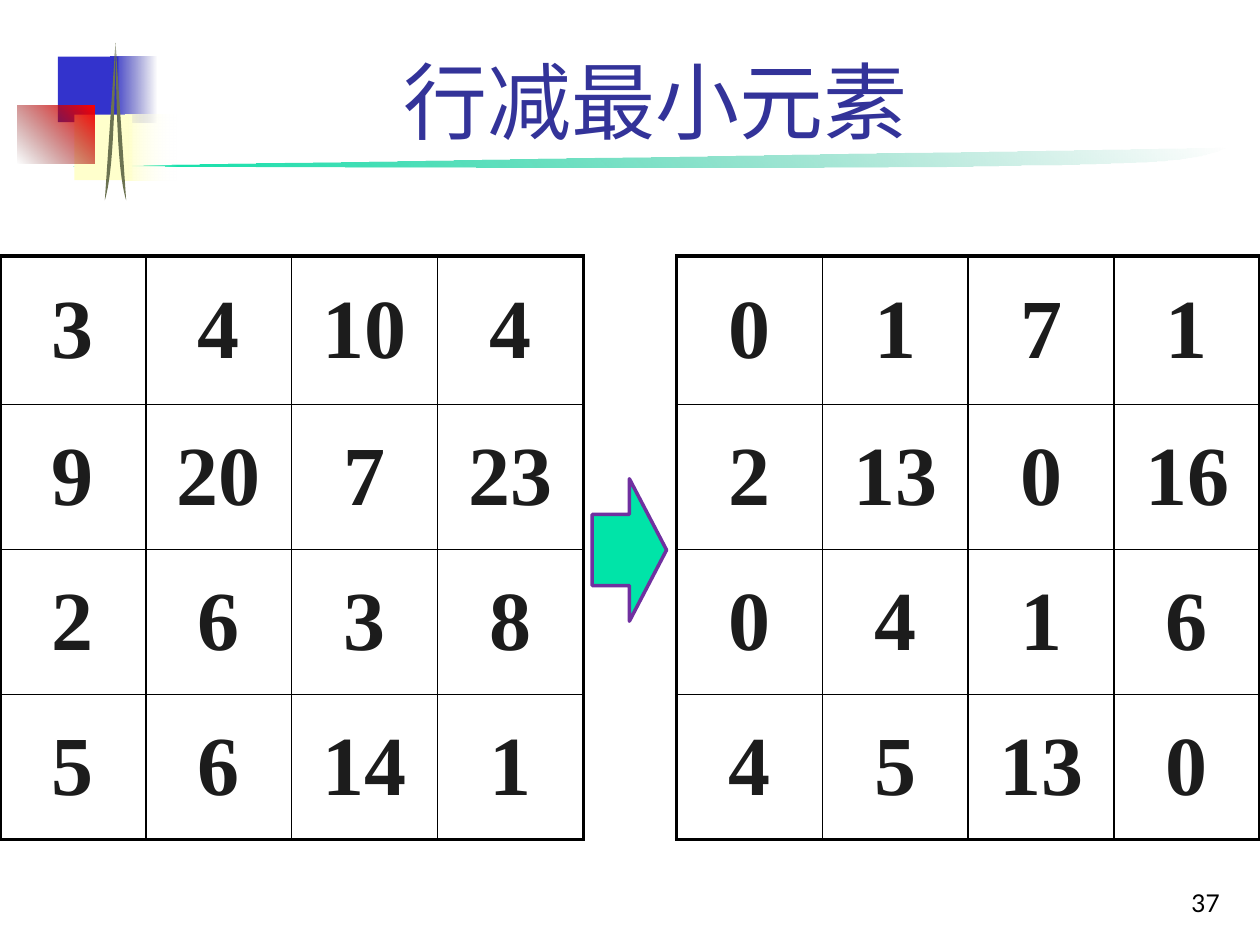
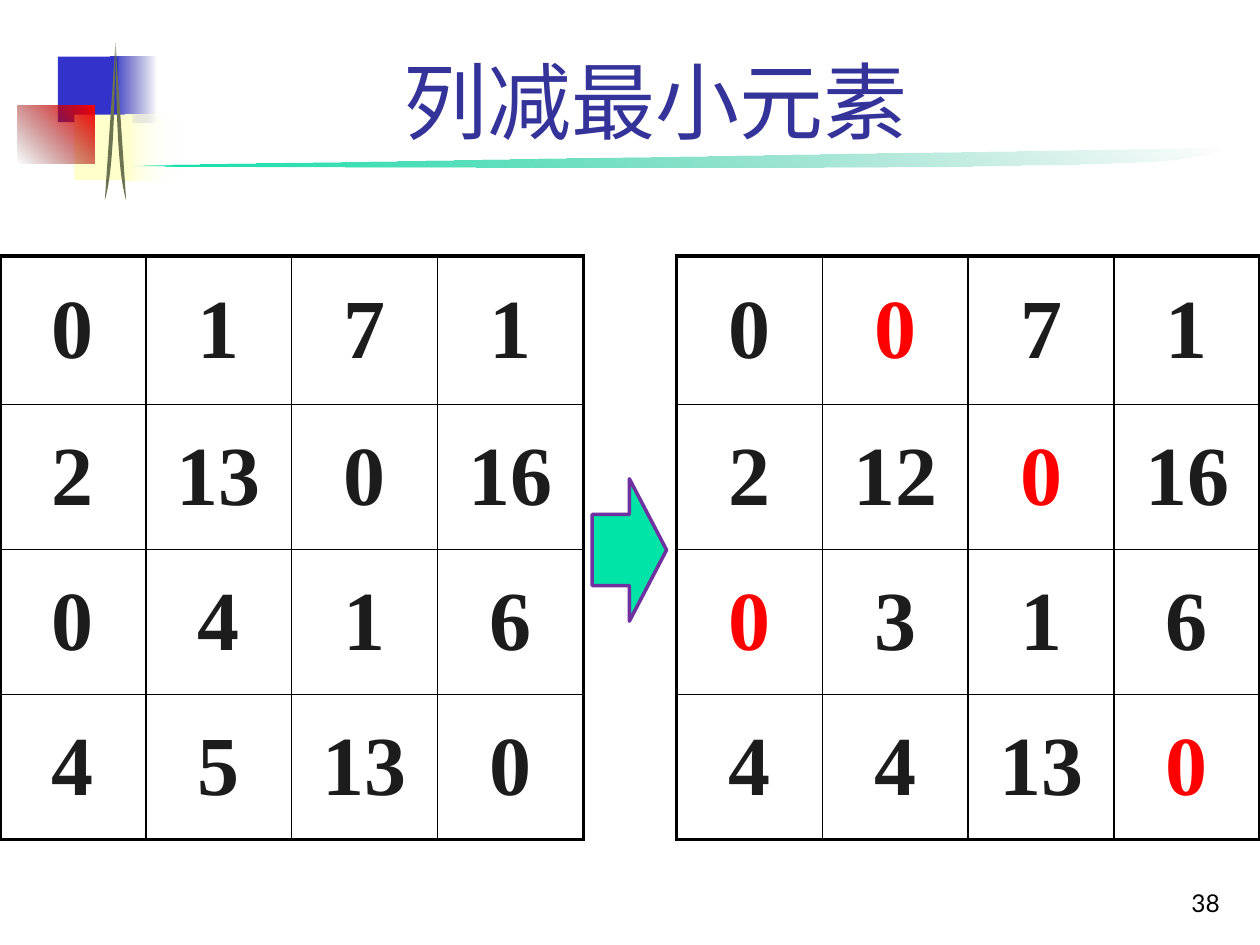
from dataclasses import dataclass

from lxml import etree
from pptx import Presentation
from pptx.dml.color import RGBColor
from pptx.enum.shapes import MSO_SHAPE
from pptx.enum.text import MSO_ANCHOR, PP_ALIGN
from pptx.oxml.ns import qn
from pptx.util import Pt

RECT, ARROW = MSO_SHAPE.RECTANGLE, MSO_SHAPE.RIGHT_ARROW
BOTTOM, MIDDLE = MSO_ANCHOR.BOTTOM, MSO_ANCHOR.MIDDLE
CENTER, RIGHT = PP_ALIGN.CENTER, PP_ALIGN.RIGHT


@dataclass(frozen=True)
class Theme:
    title: str = "333399"
    digit: str = "1C1C1C"
    mark: str = "FF0000"
    black: str = "000000"
    mint: str = "00E4A8"
    pine: str = "00A378"
    purple: str = "7030A0"
    blue: str = "3333CC"
    navy: str = "242492"
    cream: str = "FFFFCC"
    white: str = "FFFFFF"
    wine: str = "4D0000"
    red: str = "FF0000"
    olive: str = "6C7351"
    title_font: str = "Noto Sans CJK SC"
    digit_font: str = "Times New Roman"
    page_font: str = "Lato"
    big: float = 48
    small: float = 14
    thick: float = 2.25
    thin: float = 1


T = Theme()
COSTS = [[3, 4, 10, 4], [9, 20, 7, 23], [2, 6, 3, 8], [5, 6, 14, 1]]
ZEROS = {(0, 1), (1, 2), (2, 0), (3, 3)}
SIDE = 333.4
FIRST_ROW = 85


def rgb(code):
    return RGBColor.from_string(code)


def pts(*nums):
    return [Pt(num) for num in nums]


def style(par, font, size, color, align, bold=False):
    par.alignment = align
    for run in par.runs:
        run.font.name, run.font.size, run.font.bold = font, Pt(size), bold
        run.font.color.rgb = rgb(color)
        etree.SubElement(run.font._element, qn("a:ea"), typeface=font)


def paint(shape, color):
    shape.shadow.inherit = False
    shape.line.fill.background()
    shape.fill.solid()
    shape.fill.fore_color.rgb = rgb(color)


def fade(shape, start, end, angle, clear):
    """Blend start into end; the stop numbered clear is fully transparent."""
    shape.shadow.inherit = False
    shape.line.fill.background()
    shape.fill.gradient()
    shape.fill.gradient_angle = angle
    for stop, color in zip(shape.fill.gradient_stops, (start, end)):
        stop.color.rgb = rgb(color)
    colors = list(shape._element.spPr.iter(qn("a:srgbClr")))
    etree.SubElement(colors[clear], qn("a:alpha"), val="0")


def bend(a, b, c, d, steps=24):
    """Return points along a cubic curve, without its start."""
    curve = []
    for step in range(1, steps + 1):
        t = step / steps
        parts = (1 - t) ** 3, 3 * t * (1 - t) ** 2, 3 * t * t * (1 - t), t ** 3
        curve.append(tuple(sum(p * q[axis] for p, q in zip(parts, (a, b, c, d)))
                           for axis in (0, 1)))
    return curve


def add_curve(slide, knots):
    """Close a chain of cubic curves, three knots after the first for each."""
    pen = slide.shapes.build_freeform(*pts(*knots[0]))
    for at in range(0, len(knots) - 1, 3):
        pen.add_line_segments([pts(*dot) for dot in bend(*knots[at:at + 4])],
                              close=at + 4 == len(knots))
    return pen.convert_to_shape()


def add_box(slide, *area):
    return slide.shapes.add_shape(RECT, *pts(*area))


def add_decor(slide):
    swoosh = add_curve(slide, [
        (42, 94.3), (251.3, 95), (460, 96.5), (570.2, 94.3),
        (679.7, 92.9), (682.6, 90.7), (702, 84.2)])
    fade(swoosh, T.mint, T.pine, 45, 1)
    paint(add_box(slide, 33.1, 32.4, 34.6, 37.4), T.blue)
    fade(add_box(slide, 63.4, 32.4, 25.9, 37.4), T.blue, T.navy, 0, 1)
    paint(add_box(slide, 42.5, 65.5, 33.1, 37.4), T.cream)
    fade(add_box(slide, 72, 65.5, 28.8, 37.4), T.cream, T.white, 0, 1)
    fade(add_box(slide, 10.1, 60.5, 43.9, 33.1), T.wine, T.red, 45, 0)
    for side in (-1, 1):
        leg = [(66 + side * dx, y) for dx, y in
               ((0, 24.5), (0.5, 61.2), (1.1, 97.9), (6.1, 114.5))]
        paint(add_curve(slide, leg), T.olive)


def add_title(slide, text):
    title = slide.shapes.title
    title.left, title.top, title.width, title.height = pts(90.7, 16.6, 567.4, 72.7)
    frame = title.text_frame
    frame.text = text
    frame.vertical_anchor = BOTTOM
    style(frame.paragraphs[0], T.title_font, T.big, T.title, CENTER)


def add_page(slide, number):
    frame = slide.shapes.add_textbox(*pts(554.4, 491.8, 149.8, 36)).text_frame
    frame.word_wrap = True
    frame.text = str(number)
    frame.vertical_anchor = BOTTOM
    style(frame.paragraphs[0], T.page_font, T.small, T.black, RIGHT)


def frame_cell(cell, row, col, last):
    """Draw thick borders on the outside of the grid and thin ones inside."""
    props = cell._tc.get_or_add_tcPr()
    edges = {"L": col == 0, "R": col == last, "T": row == 0, "B": row == last}
    for edge, outer in edges.items():
        width = Pt(T.thick if outer else T.thin)
        line = etree.SubElement(props, qn("a:ln" + edge), w=str(width))
        fill = etree.SubElement(line, qn("a:solidFill"))
        etree.SubElement(fill, qn("a:srgbClr"), val=T.black)
    cell.fill.background()


def add_matrix(slide, left, values, marks=()):
    count = len(values)
    area = pts(left, 146.2, SIDE, SIDE)
    grid = slide.shapes.add_table(count, count, *area).table
    grid.first_row = grid.horz_banding = False
    for at in range(count):
        grid.columns[at].width = Pt(SIDE / count)
        grid.rows[at].height = Pt((SIDE - FIRST_ROW) / (count - 1) if at else FIRST_ROW)
    for row, line in enumerate(values):
        for col, value in enumerate(line):
            cell = grid.cell(row, col)
            cell.text_frame.text = str(value)
            cell.vertical_anchor = MIDDLE
            color = T.mark if (row, col) in marks else T.digit
            style(cell.text_frame.paragraphs[0], T.digit_font, T.big, color, CENTER, True)
            frame_cell(cell, row, col, count - 1)


def add_arrow(slide):
    arrow = slide.shapes.add_shape(ARROW, *pts(338.4, 273.6, 42.5, 81.4))
    paint(arrow, T.mint)
    arrow.line.color.rgb = rgb(T.purple)
    arrow.line.width = Pt(2)


def add_step(deck, title, page, before, after, marks=()):
    slide = deck.slides.add_slide(deck.slide_layouts[5])
    add_decor(slide)
    add_title(slide, title)
    add_page(slide, page)
    add_matrix(slide, 0, before)
    add_matrix(slide, 720 - SIDE, after, marks)
    add_arrow(slide)


def cut_rows(values):
    """Subtract from each row its least element."""
    return [[value - min(row) for value in row] for row in values]


def flip(values):
    return [list(col) for col in zip(*values)]


def main():
    deck = Presentation()
    deck.slide_width, deck.slide_height = pts(720, 540)
    by_row = cut_rows(COSTS)
    by_col = flip(cut_rows(flip(by_row)))
    add_step(deck, "行减最小元素", 37, COSTS, by_row)
    add_step(deck, "列减最小元素", 38, by_row, by_col, ZEROS)
    deck.save("out.pptx")


if __name__ == "__main__":
    main()
